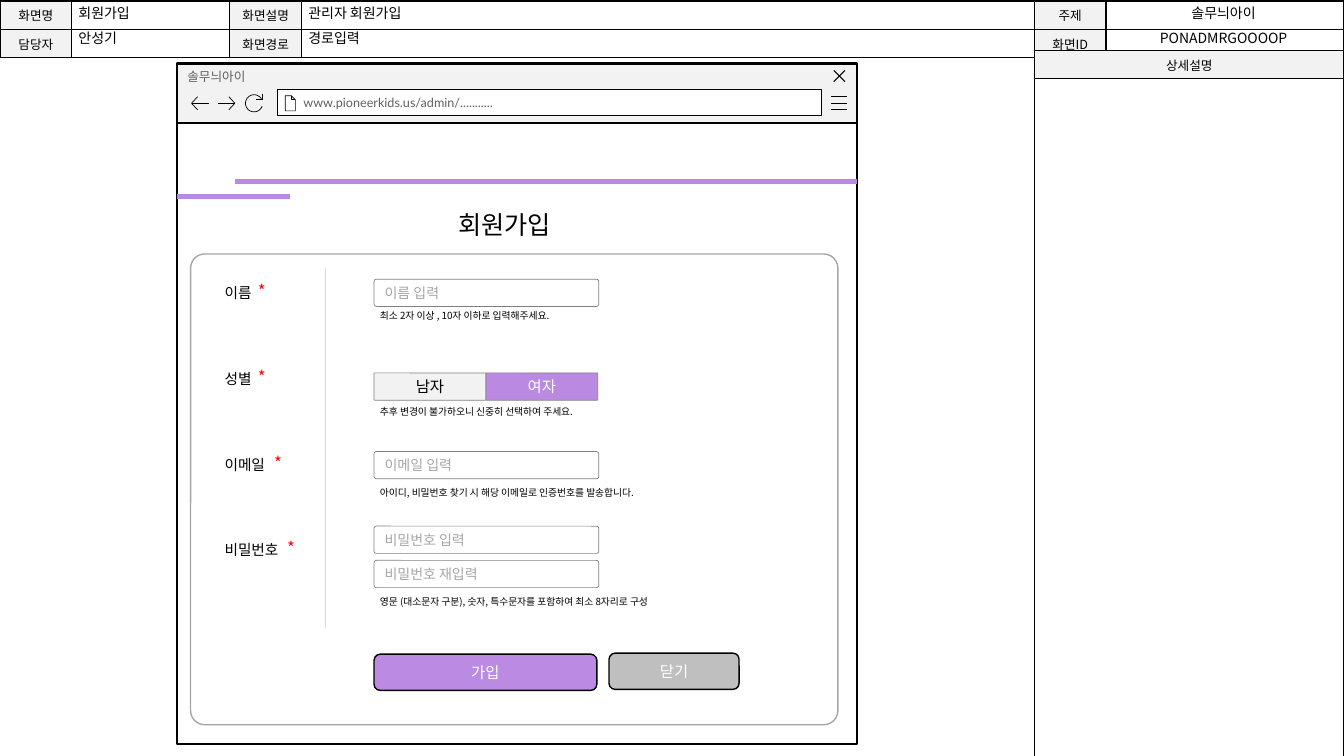
from math import cos, radians, sin

from lxml.etree import SubElement
from pptx import Presentation
from pptx.dml.color import RGBColor
from pptx.enum.shapes import MSO_CONNECTOR as Connector, MSO_SHAPE as Shape
from pptx.enum.text import MSO_ANCHOR as Anchor, PP_ALIGN as Align
from pptx.oxml.ns import qn
from pptx.util import Inches, Pt

KOREAN = "Noto Sans CJK KR"
LATIN = "Lato"
BLACK, WHITE, PALE, PURPLE = "000000", "FFFFFF", "F2F2F2", "BA8AE3"
MUTED, URL_GRAY, FIELD_LINE = "A6A6A6", "5F5F5F", "808080"
SITE = "솔무늬아이"
CELL = Inches(0.1)


def grid(*steps):
    return [round(step * CELL) for step in steps]


def rgb(value):
    return RGBColor.from_string(value)


def write(frame, text, size=10, font=KOREAN, color=BLACK, align=Align.LEFT):
    paragraph = frame.paragraphs[0]
    paragraph.alignment = align
    if not text:
        SubElement(paragraph._p, qn("a:endParaRPr"), sz=str(size * 100))
        return
    run = paragraph.add_run()
    run.text = text
    run.font.size = Pt(size)
    run.font.name = font
    run.font.color.rgb = rgb(color)
    SubElement(run._r.get_or_add_rPr(), qn("a:ea"), typeface=font)


def label(slide, text, box, **style):
    caption = slide.shapes.add_textbox(*grid(*box))
    caption.text_frame.word_wrap = True
    write(caption.text_frame, text, **style)


def paint(shape, fill, line, weight):
    shape.shadow.inherit = False
    if fill:
        shape.fill.solid()
        shape.fill.fore_color.rgb = rgb(fill)
    else:
        shape.fill.background()
    shape.line.color.rgb = rgb(line)
    shape.line.width = Pt(weight)


def panel(slide, box, fill=None, line=BLACK, weight=1, radius=None, text="",
          anchor=Anchor.MIDDLE, left=1, right=1, **style):
    kind = Shape.RECTANGLE if radius is None else Shape.ROUNDED_RECTANGLE
    shape = slide.shapes.add_shape(kind, *grid(*box))
    if radius is not None:
        shape.adjustments[0] = radius
    paint(shape, fill, line, weight)
    if text:
        frame = shape.text_frame
        frame.word_wrap = True
        frame.vertical_anchor = anchor
        frame.margin_left, frame.margin_right = grid(left, right)
        write(frame, text, **style)


def rule(slide, start, end, color, weight):
    line = slide.shapes.add_connector(Connector.STRAIGHT, *grid(*start, *end))
    line.line.color.rgb = rgb(color)
    line.line.width = Pt(weight)
    SubElement(line._element.spPr, qn("a:effectLst"))


def icon(slide, *strokes, weight=0.5):
    first, *others = [[grid(*point) for point in stroke] for stroke in strokes]
    builder = slide.shapes.build_freeform(*first[0])
    builder.add_line_segments(first[1:], close=False)
    for stroke in others:
        builder.move_to(*stroke[0])
        builder.add_line_segments(stroke[1:], close=False)
    paint(builder.convert_to_shape(), None, BLACK, weight)


def border(cell):
    properties = cell._tc.get_or_add_tcPr()
    for position, side in enumerate(("lnL", "lnR", "lnT", "lnB")):
        edge = properties.makeelement(qn(f"a:{side}"), {"w": str(Pt(1))})
        fill = SubElement(edge, qn("a:solidFill"))
        SubElement(fill, qn("a:srgbClr"), val=BLACK)
        properties.insert(position, edge)


def info_table(slide, corner, widths, heights, rows, empty_fill=None):
    size = (sum(widths), sum(heights))
    table = slide.shapes.add_table(len(rows), len(widths), *grid(*corner, *size)).table
    table.first_row = table.horz_banding = False
    for column, width in zip(table.columns, grid(*widths)):
        column.width = width
    for row, height, texts in zip(table.rows, grid(*heights), rows):
        row.height = height
        for cell, text in zip(row.cells, texts):
            fill = PALE if text else empty_fill
            if fill:
                cell.fill.solid()
                cell.fill.fore_color.rgb = rgb(fill)
            else:
                cell.fill.background()
            border(cell)
            write(cell.text_frame, text, size=9, align=Align.CENTER)


def header(slide):
    info_table(slide, (0, 0.1), (7.1, 15.7, 7.1, 72.7, 7.1, 23.6), (2.8, 2.8),
               [("화면명", "", "화면설명", "", "주제", ""),
                ("담당자", "", "화면경로", "", "화면ID", "")])
    info_table(slide, (102.6, 5), (30.7,), (2.8, 67.2), [("상세설명",), ("",)], WHITE)
    for x, width, align, values in (
            (6.8, 15.9, Align.LEFT, ("회원가입", "안성기")),
            (29.6, 73.1, Align.LEFT, ("관리자 회원가입", "경로입력")),
            (109.4, 23.9, Align.CENTER, (SITE, "PONADMRGOOOOP"))):
        for row, value in enumerate(values):
            label(slide, value, (x, row * 2.4, width, 2.7), align=align)


def browser(slide):
    panel(slide, (17.6, 12.1, 67.4, 61.7), WHITE, weight=1.5)
    panel(slide, (17.6, 6.3, 67.4, 5.9), PALE, weight=1.5, text=SITE,
          anchor=Anchor.TOP, right=2.5, size=9, font=LATIN, color=URL_GRAY)
    icon(slide, *[[(82.4, y), (84, y)] for y in (9.6, 10.25, 10.9)])
    icon(slide, [(83.8, 7), (82.7, 8.1)], [(82.7, 7), (83.8, 8.1)], weight=0.75)
    panel(slide, (27.5, 8.9, 54, 2.6), WHITE, weight=0.5, left=2.6,
          text="www.pioneerkids.us/admin/...........", size=9, font=LATIN, color=URL_GRAY)
    icon(slide, [(28.9, 9.5), (28.9, 9.9), (29.3, 9.9)],
         [(28.9, 9.5), (28.3, 9.5), (28.3, 11), (29.3, 11), (29.3, 9.9), (28.9, 9.5)])
    for tip, tail, barb in ((19, 20.7, 19.6), (23.3, 21.6, 22.7)):
        icon(slide, [(barb, 9.6), (tip, 10.25), (barb, 10.9)], [(tip, 10.25), (tail, 10.25)])
    arc = [(25.2 + 0.85 * cos(radians(a)), 10.25 + 0.85 * sin(radians(a)))
           for a in range(20, 333, 12)]
    icon(slide, [(26, 9.3), (26, 9.9), (25.4, 9.9)], arc)
    rule(slide, (23.3, 18), (85, 18), PURPLE, 3)
    rule(slide, (17.6, 19.5), (28.8, 19.5), PURPLE, 3)


def signup_form(slide):
    label(slide, "회원가입", (38.4, 20.3, 23.3, 4), size=18, align=Align.CENTER)
    panel(slide, (18.9, 25.2, 64.2, 46.7), line=MUTED, radius=0.03)
    rule(slide, (32.3, 26.6), (32.3, 62.3), "D9D9D9", 0.5)

    required = (("이름", 24.6), ("성별", 24.6), ("이메일", 26.2), ("비밀번호", 27.5))
    for row, (field, star_x) in enumerate(required):
        y = 27.7 + 8.5 * row
        label(slide, field, (21.3, y, 9.3, 2.8), size=10.5)
        label(slide, "*", (star_x, y - 0.3, 3, 3), size=12, color="FF0000")

    for y, prompt in ((27.7, "이름 입력"), (44.8, "이메일 입력"),
                      (52.2, "비밀번호 입력"), (55.6, "비밀번호 재입력")):
        panel(slide, (37.1, y, 22.3, 2.7), WHITE, FIELD_LINE, 0.5, 0.09,
              text=prompt, color=MUTED)

    for x, gender, fill, color in ((37.1, "남자", PALE, BLACK), (48.2, "여자", PURPLE, WHITE)):
        panel(slide, (x, 37, 11.1, 2.7), fill, FIELD_LINE, 0.5, 0.02,
              text=gender, size=11, color=color, align=Align.CENTER)

    for y, hint in ((30.2, "최소 2자 이상 , 10자 이하로 입력해주세요."),
                    (39.8, "추후 변경이 불가하오니 신중히 선택하여 주세요."),
                    (47.8, "아이디, 비밀번호 찾기 시 해당 이메일로 인증번호를 발송합니다."),
                    (58.6, "영문 (대소문자 구분), 숫자, 특수문자를 포함하여 최소 8자리로 구성")):
        label(slide, hint, (36.7, y, 44.5, 2.2), size=7)

    for box, action, fill in (((37.1, 64.9, 22.1, 3.6), "가입", "BB8BE3"),
                              ((60.4, 64.8, 12.9, 3.6), "닫기", "BFBFBF")):
        panel(slide, box, fill, radius=0.17, text=action, size=11,
              color=WHITE, align=Align.CENTER)


def main():
    deck = Presentation()
    deck.slide_width, deck.slide_height = Inches(13.33), Inches(7.5)
    slide = deck.slides.add_slide(deck.slide_layouts[6])
    header(slide)
    browser(slide)
    signup_form(slide)
    deck.save("out.pptx")


if __name__ == "__main__":
    main()
